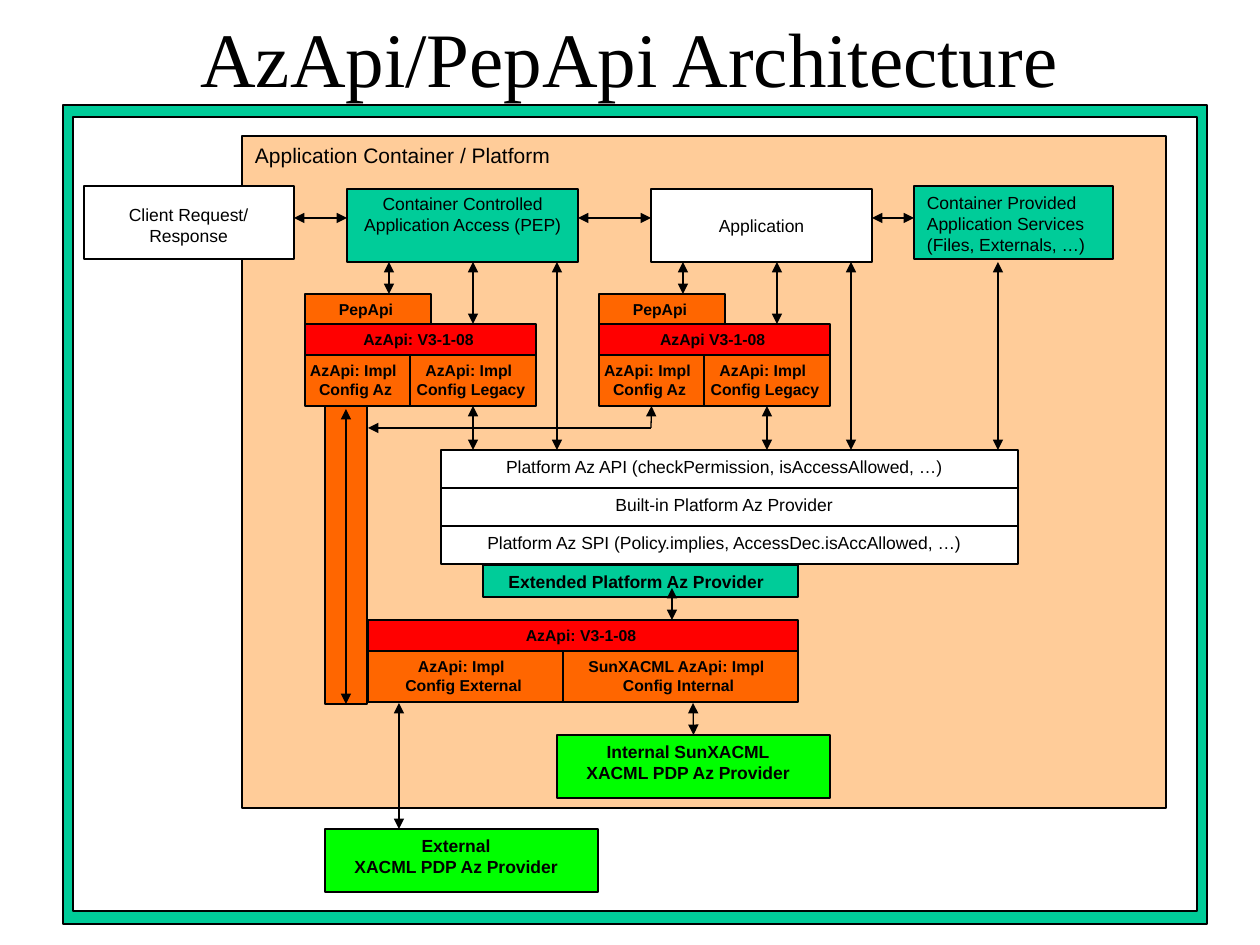
from lxml.etree import SubElement as Sub
from pptx import Presentation
from pptx.dml.color import RGBColor as Rgb
from pptx.enum.shapes import MSO_CONNECTOR as Conn, MSO_SHAPE as Shape
from pptx.enum.text import MSO_ANCHOR as Anchor, PP_ALIGN as Align
from pptx.oxml.ns import qn
from pptx.util import Emu, Pt

SCALE = 914400 / 126
HUE = {
    "black": "000000", "white": "FFFFFF", "teal": "00CC99", "peach": "FFCC99",
    "orange": "FF6600", "red": "FF0000", "green": "00FF00",
}
BASE = {"name": "Arial", "size": Pt(10), "bold": False}
BOLD = {"bold": True}
SMALL = {"bold": True, "size": Pt(9)}
PAD = (13, 6, 13, 6)
TIGHT = (0, 6, 4, 6)
SIDES = ("margin_left", "margin_top", "margin_right", "margin_bottom")

deck = Presentation()
deck.slide_width, deck.slide_height = Emu(9144000), Emu(6858000)
slide = deck.slides.add_slide(deck.slide_layouts[6])
items = slide.shapes


def box(x, y, w, h, hue, text="", font={}, pad=PAD, align=Align.CENTER, anchor=Anchor.TOP):
    """Add a filled box, or a bare text box when hue is None."""
    area = [Emu(round(v * SCALE)) for v in (x, y, w, h)]
    if hue:
        item = items.add_shape(Shape.RECTANGLE, *area)
        item.shadow.inherit = False
        item.fill.solid()
        item.fill.fore_color.rgb = Rgb.from_string(HUE[hue])
        item.line.color.rgb = Rgb.from_string(HUE["black"])
        item.line.width = Pt(0.75)
    else:
        item = items.add_textbox(*area)
    if text:
        frame = item.text_frame
        frame.text = text
        frame.word_wrap = True
        frame.vertical_anchor = anchor
        for side, gap in zip(SIDES, pad):
            setattr(frame, side, Emu(round(gap * SCALE)))
        for para in frame.paragraphs:
            para.alignment = align
            para.font.color.rgb = Rgb.from_string(HUE["black"])
            for key, val in {**BASE, **font}.items():
                setattr(para.font, key, val)
    return item


def wire(x1, y1, x2, y2, ends=("head", "tail"), start=None, stop=None):
    """Add an arrow; start and stop are (shape, side) joints."""
    line = items.add_connector(
        Conn.STRAIGHT, *[Emu(round(v * SCALE)) for v in (x1, y1, x2, y2)])
    if start:
        line.begin_connect(*start)
    if stop:
        line.end_connect(*stop)
    line.line.color.rgb = Rgb.from_string(HUE["black"])
    line.line.width = Pt(0.75)
    props = line._element.spPr
    for end in ends:
        Sub(props.find(qn("a:ln")), qn(f"a:{end}End"), type="triangle")
    Sub(props, qn("a:effectLst"))


# Title, frame and container
box(94, 10, 1071, 94, None, "AzApi/PepApi Architecture",
    {"name": "Times New Roman", "size": Pt(44)}, anchor=Anchor.MIDDLE)
box(63, 105, 1144, 819, "teal")
box(73, 117, 1124, 794, "white")
box(242, 136, 924, 672, "peach", "Application Container / Platform",
    {"size": Pt(12)}, align=Align.LEFT)
column = box(325, 336, 42, 368, "orange")

# Platform layers
layers = [
    "Platform Az API (checkPermission, isAccessAllowed, …)",
    "Built-in Platform Az Provider",
    "Platform Az SPI (Policy.implies, AccessDec.isAccAllowed, …)",
]
for i, text in enumerate(layers):
    box(441, 450 + 38 * i, 577, 38, "white", text, pad=(13, 6, 24, 6))
box(483, 565, 315, 32, "teal", "Extended Platform Az Provider", BOLD, (24, 6, 33, 6))

# Request flow
box(84, 186, 210, 73, "white", "Client Request/ Response", pad=(39, 18, 40, 6))
box(347, 189, 231, 73, "teal", "Container Controlled Application Access (PEP)",
    pad=(13, 4, 13, 6))
box(651, 189, 221, 73, "white", "Application", anchor=Anchor.MIDDLE)
box(914, 186, 199, 73, "teal",
    "Container Provided Application Services (Files, Externals, …)",
    pad=(13, 6, 2, 6), align=Align.LEFT)

# Policy providers
inner = box(557, 735, 273, 63, "green", "Internal SunXACML\nXACML PDP Az Provider",
            BOLD, (13, 6, 24, 6))
box(325, 829, 273, 63, "green", "External\nXACML PDP Az Provider", BOLD, (13, 6, 24, 6))

# Two API stacks, with the arrows that fall from each
for x, name in ((305, "AzApi: V3-1-08"), (599, "AzApi V3-1-08")):
    box(x, 294, 126, 30, "orange", "PepApi", SMALL, TIGHT)
    azure = box(x, 355, 105, 51, "orange", "AzApi: Impl \nConfig Az", SMALL, TIGHT)
    old = box(x + 105, 355, 126, 51, "orange", "AzApi: Impl \nConfig Legacy", SMALL, TIGHT)
    box(x, 324, 231, 31, "red", name, SMALL, TIGHT)
    wire(x + 84, 262, x + 84, 294)
    wire(x + 168, 406, x + 168, 450, start=(old, 2))

# Lower API stack
box(368, 651, 195, 51, "orange", "AzApi: Impl \nConfig External", SMALL, TIGHT)
box(563, 651, 235, 51, "orange", "SunXACML AzApi: Impl \nConfig Internal", SMALL, TIGHT)
box(368, 620, 430, 31, "red", "AzApi: V3-1-08", SMALL, TIGHT)

# Level arrows
for left, right in ((294, 347), (578, 651), (872, 914)):
    wire(left, 218, right, 218)

# Upright arrows
for x, top, foot in (
    (473, 262, 324), (777, 262, 324), (557, 262, 450), (851, 262, 450),
    (998, 262, 450), (672, 588, 620), (399, 703, 829),
):
    wire(x, top, x, foot)
wire(346, 409, 346, 704, stop=(column, 2))
wire(693, 703, 693, 735, stop=(inner, 0))

# Bent arrow from the right stack to the column
wire(651, 406, 651, 428, ["head"], start=(azure, 2))
wire(651, 428, 368, 428, ["tail"])

deck.save("out.pptx")
